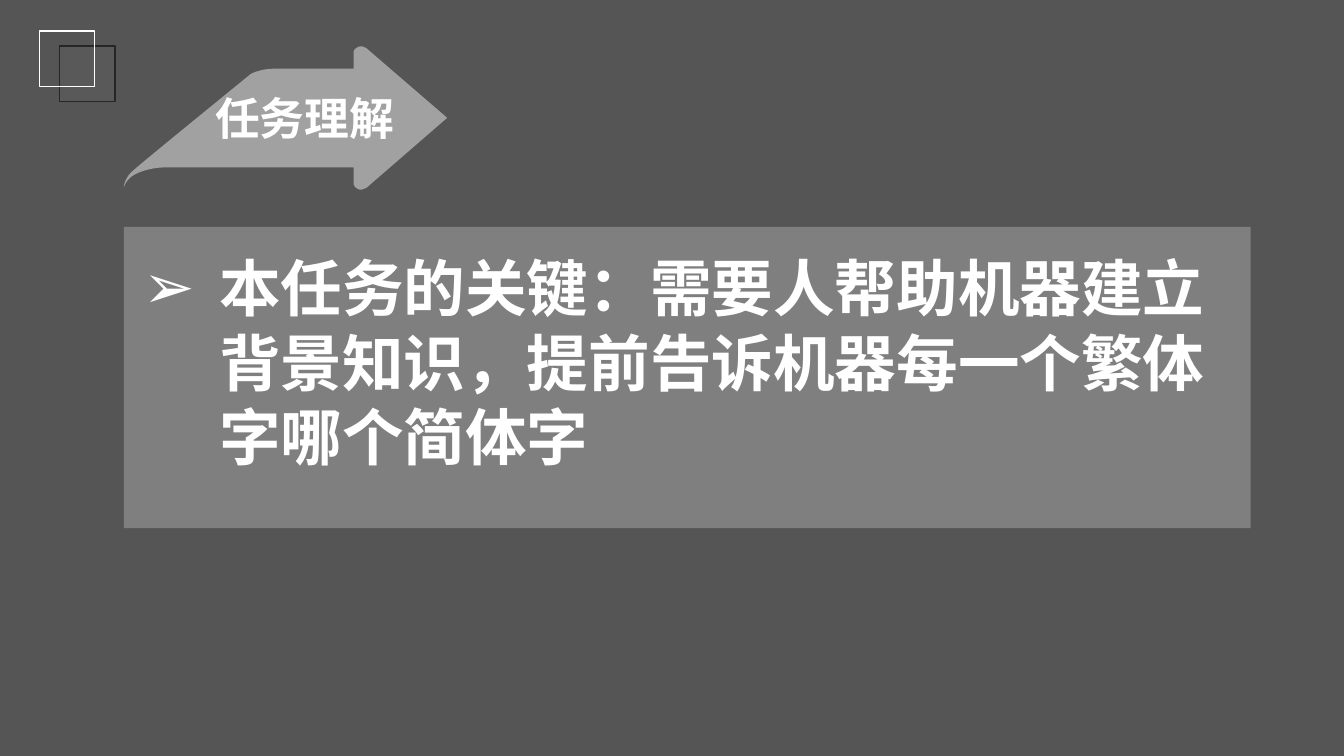
from lxml.etree import SubElement
from pptx import Presentation
from pptx.dml.color import RGBColor
from pptx.enum.shapes import MSO_SHAPE
from pptx.enum.text import MSO_ANCHOR, PP_ALIGN
from pptx.oxml.ns import qn
from pptx.util import Cm, Pt

FONT = "Noto Sans CJK SC"
WHITE = "FFFFFF"

# Arrow outline in cm from its box corner: one point is a line, three a curve
ARROW_START = (5.97, 3.61)
ARROW_STEPS = [
    [(6.02, 3.61), (6.07, 3.58), (6.12, 3.56)],
    [(8.15, 1.8)],
    [(6.12, 0.05)],
    [(6.07, 0.02), (6.02, 0), (5.97, 0)],
    [(5.89, 0), (5.79, 0.08), (5.79, 0.15)],
    [(5.79, 0.56)],
    [(4.01, 0.56)],
    [(3.86, 0.56), (3.71, 0.56), (3.56, 0.58)],
    [(3.4, 0.61), (3.25, 0.66), (3.18, 0.71)],
    [(3.15, 0.74), (0.3, 3.05), (0.18, 3.18)],
    [(0.08, 3.28), (0, 3.45), (0, 3.56)],
    [(0.05, 3.38), (0.2, 3.25), (0.38, 3.18)],
    [(0.58, 3.1), (0.81, 3.05), (1.04, 3.05)],
    [(5.79, 3.05)],
    [(5.79, 3.45)],
    [(5.79, 3.53), (5.89, 3.61), ARROW_START],
]


def color(hex_string):
    return RGBColor.from_string(hex_string)


def style_shape(shape, fill=None, opacity=100, line=None):
    shape.shadow.inherit = False
    if fill:
        shape.fill.solid()
        shape.fill.fore_color.rgb = color(fill)
        if opacity < 100:
            fill_color = shape.fill._xPr.find(qn("a:solidFill"))[0]
            SubElement(fill_color, qn("a:alpha")).set("val", str(opacity * 1000))
    else:
        shape.fill.background()
    if line:
        shape.line.color.rgb = color(line)
        shape.line.width = Pt(1)
    else:
        shape.line.fill.background()


def add_rectangle(slide, left, top, width, height, **style):
    shape = slide.shapes.add_shape(
        MSO_SHAPE.RECTANGLE, Cm(left), Cm(top), Cm(width), Cm(height))
    style_shape(shape, **style)


def add_run(paragraph, text, size, latin):
    run = paragraph.add_run()
    run.text = text
    run.font.size = Pt(size)
    run.font.bold = True
    run.font.color.rgb = color(WHITE)
    run.font.name = latin
    SubElement(run.font._element, qn("a:ea")).set("typeface", FONT)


def curve_points(start, controls, steps=8):
    points = [start, *controls]
    for step in range(1, steps + 1):
        t = step / steps
        weights = ((1 - t) ** 3, 3 * t * (1 - t) ** 2, 3 * t * t * (1 - t), t ** 3)
        yield tuple(sum(weight * point[axis] for weight, point in zip(weights, points))
                    for axis in (0, 1))


def add_corner_squares(slide, left, top):
    side = 1.4
    add_rectangle(slide, left + 0.51, top + 0.38, side, side, fill="595959", line="262626")
    add_rectangle(slide, left, top, side, side, line=WHITE)


def add_title_arrow(slide, left, top, title):
    # Outline
    outline = [ARROW_START]
    for step in ARROW_STEPS:
        outline.extend(step if len(step) == 1 else curve_points(outline[-1], step))
    points = [(Cm(left + x), Cm(top + y)) for x, y in outline]
    builder = slide.shapes.build_freeform(*points[0])
    builder.add_line_segments(points[1:], close=True)
    arrow = builder.convert_to_shape()
    style_shape(arrow, fill=WHITE, opacity=45)

    # Title, set right of centre by the wider left margin
    frame = arrow.text_frame
    frame.word_wrap = True
    frame.vertical_anchor = MSO_ANCHOR.MIDDLE
    frame.margin_left = Cm(1.22)
    paragraph = frame.paragraphs[0]
    paragraph.alignment = PP_ALIGN.CENTER
    add_run(paragraph, title, 32, FONT)


def add_key_point(slide, left, top, width, height, text):
    # Panel
    add_rectangle(slide, left, top, width, height, fill=WHITE, opacity=25)

    # Bulleted text
    box = slide.shapes.add_textbox(
        Cm(left + 0.25), Cm(top + 0.33), Cm(width - 0.25), Cm(6.65))
    frame = box.text_frame
    frame.word_wrap = True
    frame.margin_top = Cm(0.25)
    paragraph = frame.paragraphs[0]
    properties = paragraph._p.get_or_add_pPr()
    properties.set("marL", str(Cm(1.9)))
    properties.set("indent", str(-Cm(1.9)))
    SubElement(properties, qn("a:buFont")).set("typeface", "Arial")
    SubElement(properties, qn("a:buChar")).set("char", "➢")
    paragraph.line_spacing = Pt(53)
    add_run(paragraph, text, 44, "Arial")


def main():
    presentation = Presentation()
    presentation.slide_width = Cm(33.87)
    presentation.slide_height = Cm(19.05)
    slide = presentation.slides.add_slide(presentation.slide_layouts[6])

    # Dark veil over the white page
    add_rectangle(slide, 0, 0, 33.87, 19.05, fill="0D0D0D", opacity=70)
    add_corner_squares(slide, 0.99, 0.78)
    add_title_arrow(slide, 3.12, 1.17, "任务理解")
    add_key_point(slide, 3.12, 5.72, 28.4, 7.59,
                  "本任务的关键：需要人帮助机器建立背景知识，提前告诉机器每一个繁体字哪个简体字")
    presentation.save("out.pptx")


if __name__ == "__main__":
    main()
